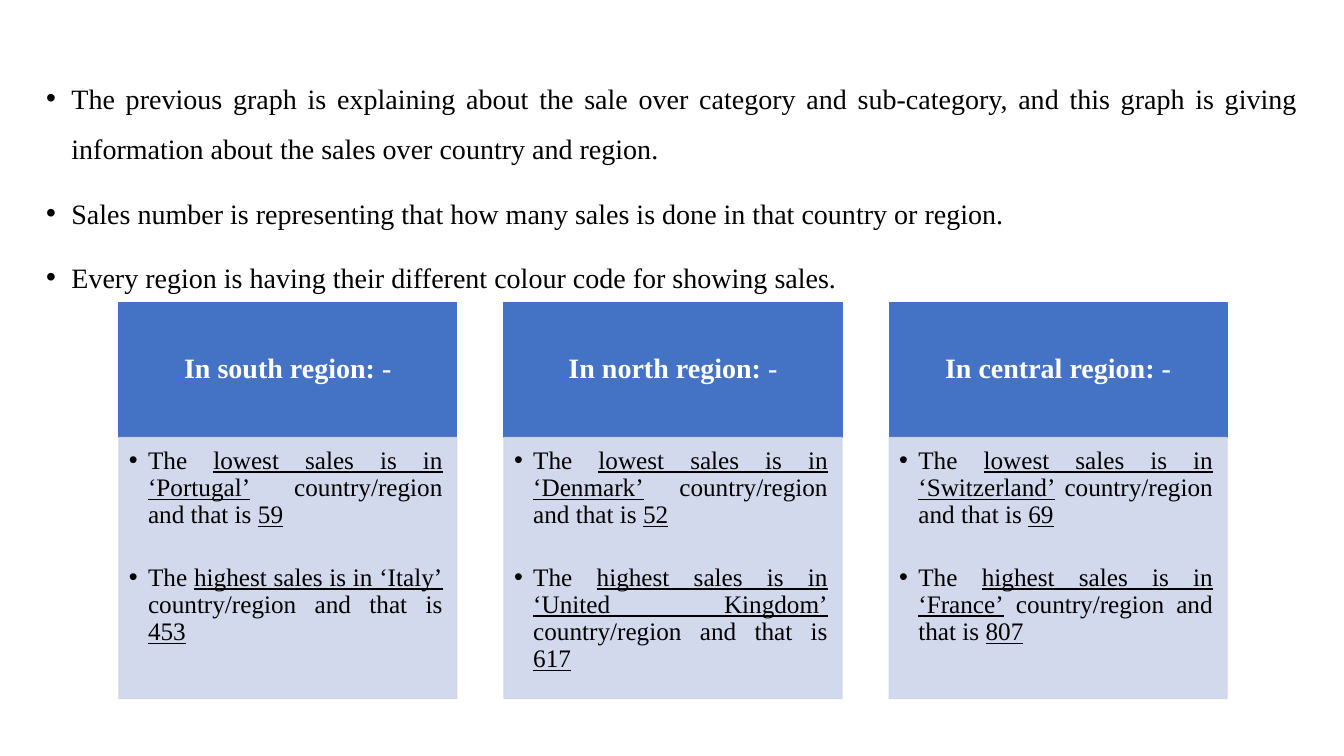
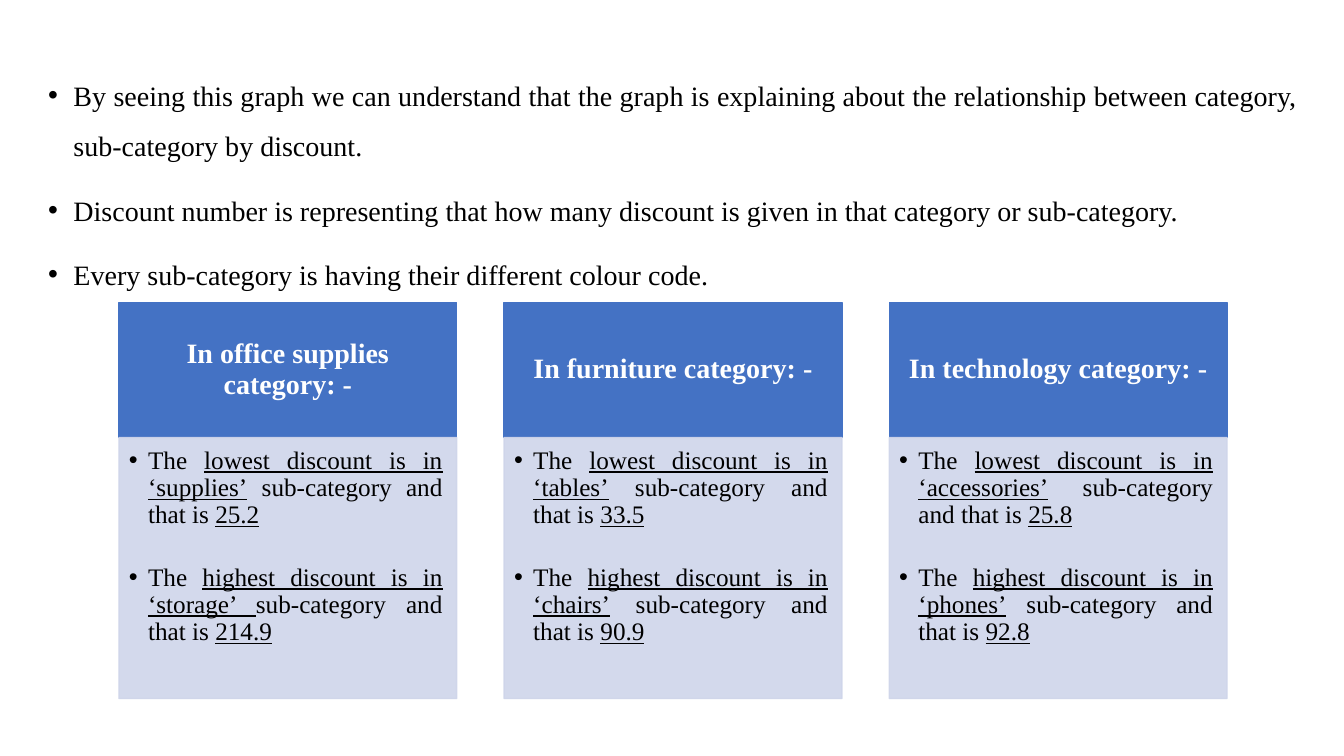
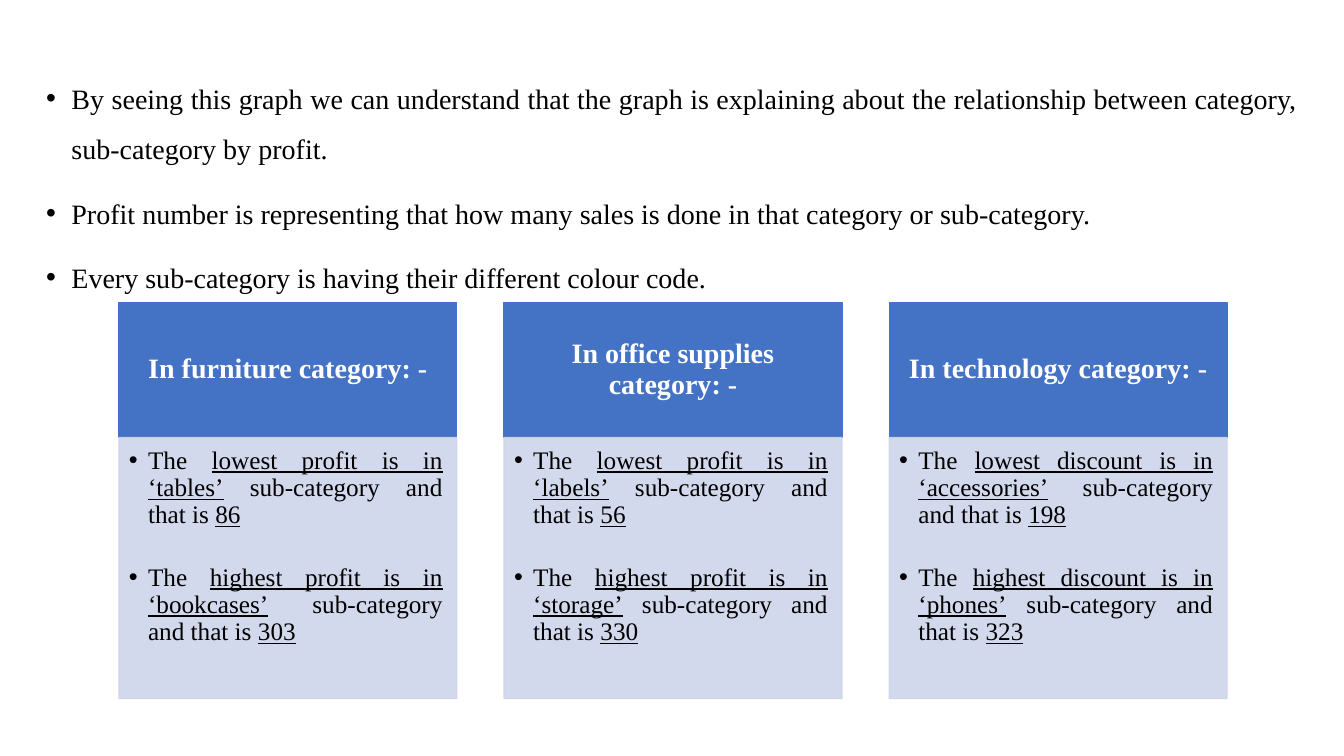
from dataclasses import dataclass

from lxml.etree import SubElement
from pptx import Presentation
from pptx.dml.color import RGBColor
from pptx.enum.shapes import MSO_SHAPE
from pptx.enum.text import MSO_ANCHOR, PP_ALIGN
from pptx.oxml.ns import qn
from pptx.util import Inches, Pt


@dataclass(frozen=True)
class Theme:
    font: str = "Times New Roman"
    text: RGBColor = RGBColor(0x00, 0x00, 0x00)
    header_text: RGBColor = RGBColor(0xFF, 0xFF, 0xFF)
    header: RGBColor = RGBColor(0x44, 0x72, 0xC4)
    panel: RGBColor = RGBColor(0xCF, 0xD5, 0xEA)
    panel_opacity: int = 90
    large: int = 20
    small: int = 18


@dataclass(frozen=True)
class CardGrid:
    left: float = 1.18
    top: float = 3.0
    column: float = 3.35
    gap: float = 0.47
    header_row: float = 1.34
    panel_row: float = 2.59

    def column_left(self, index):
        return self.left + index * (self.column + self.gap)


@dataclass(frozen=True)
class Finding:
    claim: str
    name: str
    value: str
    underline_gap: bool = False

    def runs(self, place):
        """Pairs of text and whether it is underlined."""
        claim = f"{self.claim} is in ‘{self.name}’"
        rest = f"{place} and that is "
        if self.underline_gap:
            claim += " "
        else:
            rest = " " + rest
        return [("The ", False), (claim, True), (rest, False), (self.value, True)]


THEME = Theme()
GRID = CardGrid()
SLIDE_WIDTH, SLIDE_HEIGHT = 13.33, 7.5
RIGHT_MARGIN = 0.36


def style_paragraph(paragraph, size, color, align, line_spacing, bold=False):
    paragraph.alignment = align
    paragraph.line_spacing = line_spacing
    font = paragraph.font
    font.name, font.size, font.bold = THEME.font, Pt(size), bold
    font.color.rgb = color


def add_bullet(paragraph, indent):
    properties = paragraph._p.get_or_add_pPr()
    properties.set("marL", str(Inches(indent)))
    properties.set("indent", str(-Inches(indent)))
    bullet_font = SubElement(properties, qn("a:buFont"))
    bullet_font.set("typeface", "Arial")
    SubElement(properties, qn("a:buChar")).set("char", "•")
    defaults = properties.find(qn("a:defRPr"))
    if defaults is not None:
        properties.append(defaults)


def set_insets(frame, left, top, right, bottom):
    frame.margin_left, frame.margin_top = Inches(left), Inches(top)
    frame.margin_right, frame.margin_bottom = Inches(right), Inches(bottom)


def next_paragraph(frame, index):
    return frame.add_paragraph() if index else frame.paragraphs[0]


def add_block(slide, column, top, height, color, opacity=100):
    block = slide.shapes.add_shape(
        MSO_SHAPE.RECTANGLE, Inches(GRID.column_left(column)), Inches(top),
        Inches(GRID.column), Inches(height))
    block.shadow.inherit = False
    block.fill.solid()
    block.line.width = Pt(1)
    for fill in (block.fill, block.line.fill):
        fill.solid()
        fill.fore_color.rgb = color
    if opacity < 100:
        for color_node in block._element.spPr.iter(qn("a:srgbClr")):
            SubElement(color_node, qn("a:alpha")).set("val", str(opacity * 1000))
    block.text_frame.word_wrap = True
    return block.text_frame


def add_card(slide, column, heading, findings, place):
    header = add_block(slide, column, GRID.top, GRID.header_row, THEME.header)
    header.vertical_anchor = MSO_ANCHOR.MIDDLE
    set_insets(header, 0.16, 0.09, 0.16, 0.09)
    title = header.paragraphs[0]
    title.text = heading
    style_paragraph(title, THEME.large, THEME.header_text, PP_ALIGN.CENTER, 0.9, bold=True)

    panel = add_block(slide, column, GRID.top + GRID.header_row, GRID.panel_row,
                      THEME.panel, THEME.panel_opacity)
    panel.vertical_anchor = MSO_ANCHOR.TOP
    set_insets(panel, 0.1, 0.1, 0.14, 0.16)
    for index, finding in enumerate(findings):
        paragraph = next_paragraph(panel, index)
        style_paragraph(paragraph, THEME.small, THEME.text, PP_ALIGN.JUSTIFY, 0.9)
        paragraph.space_after = Pt(25)
        add_bullet(paragraph, 0.19)
        for text, underlined in finding.runs(place):
            run = paragraph.add_run()
            run.text = text
            if underlined:
                run.font.underline = True


def add_introduction(slide, left, top, statements):
    box = slide.shapes.add_textbox(
        Inches(left), Inches(top),
        Inches(SLIDE_WIDTH - left - RIGHT_MARGIN), Inches(SLIDE_HEIGHT - 2 * top))
    frame = box.text_frame
    frame.word_wrap = True
    for index, statement in enumerate(statements):
        paragraph = next_paragraph(frame, index)
        paragraph.text = statement
        style_paragraph(paragraph, THEME.large, THEME.text, PP_ALIGN.JUSTIFY, 1.5)
        paragraph.space_before = Pt(10)
        add_bullet(paragraph, 0.25)


def add_summary_slide(deck, left, top, statements, place, cards):
    slide = deck.slides.add_slide(deck.slide_layouts[6])
    add_introduction(slide, left, top, statements)
    for column, (heading, *findings) in enumerate(cards):
        add_card(slide, column, heading, findings, place)


def main():
    deck = Presentation()
    deck.slide_width, deck.slide_height = Inches(SLIDE_WIDTH), Inches(SLIDE_HEIGHT)

    add_summary_slide(
        deck, 0.36, 0.59,
        ["The previous graph is explaining about the sale over category and sub-category, "
         "and this graph is giving information about the sales over country and region.",
         "Sales number is representing that how many sales is done in that country or region.",
         "Every region is having their different colour code for showing sales."],
        "country/region",
        [("In south region: -",
          Finding("lowest sales", "Portugal", "59"),
          Finding("highest sales", "Italy", "453")),
         ("In north region: -",
          Finding("lowest sales", "Denmark", "52"),
          Finding("highest sales", "United Kingdom", "617")),
         ("In central region: -",
          Finding("lowest sales", "Switzerland", "69"),
          Finding("highest sales", "France", "807"))])

    relationship = ("By seeing this graph we can understand that the graph is explaining about "
                    "the relationship between category, sub-category by ")
    colour_code = "Every sub-category is having their different colour code."

    add_summary_slide(
        deck, 0.38, 0.56,
        [relationship + "discount.",
         "Discount number is representing that how many discount is given in that category "
         "or sub-category.",
         colour_code],
        "sub-category",
        [("In office supplies category: -",
          Finding("lowest discount", "supplies", "25.2"),
          Finding("highest discount", "storage", "214.9", underline_gap=True)),
         ("In furniture category: -",
          Finding("lowest discount", "tables", "33.5"),
          Finding("highest discount", "chairs", "90.9")),
         ("In technology category: -",
          Finding("lowest discount", "accessories", "25.8"),
          Finding("highest discount", "phones", "92.8"))])

    add_summary_slide(
        deck, 0.36, 0.59,
        [relationship + "profit.",
         "Profit number is representing that how many sales is done in that category "
         "or sub-category.",
         colour_code],
        "sub-category",
        [("In furniture category: -",
          Finding("lowest profit", "tables", "86"),
          Finding("highest profit", "bookcases", "303")),
         ("In office supplies category: -",
          Finding("lowest profit", "labels", "56"),
          Finding("highest profit", "storage", "330")),
         ("In technology category: -",
          Finding("lowest discount", "accessories", "198"),
          Finding("highest discount", "phones", "323"))])

    deck.save("out.pptx")


if __name__ == "__main__":
    main()
